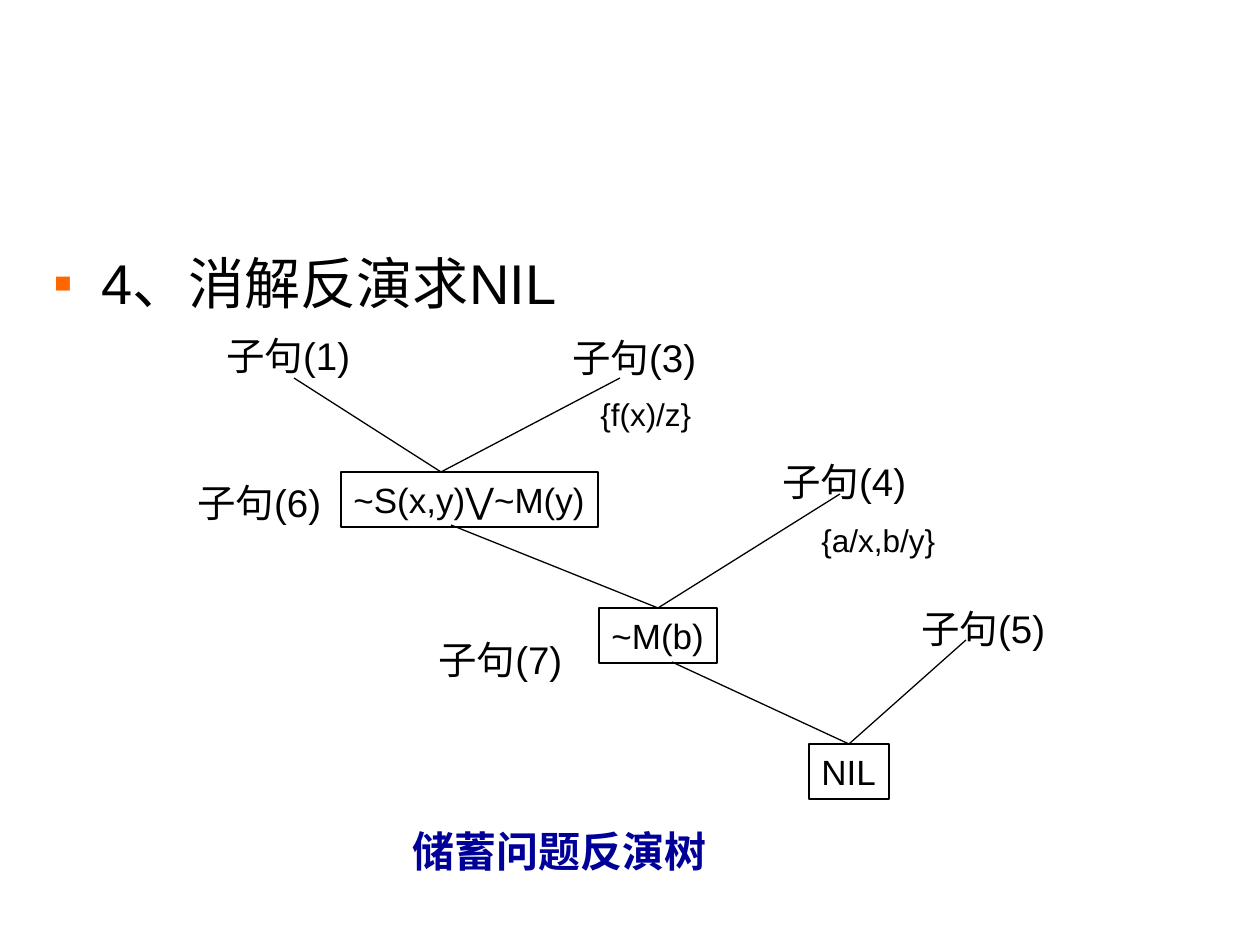
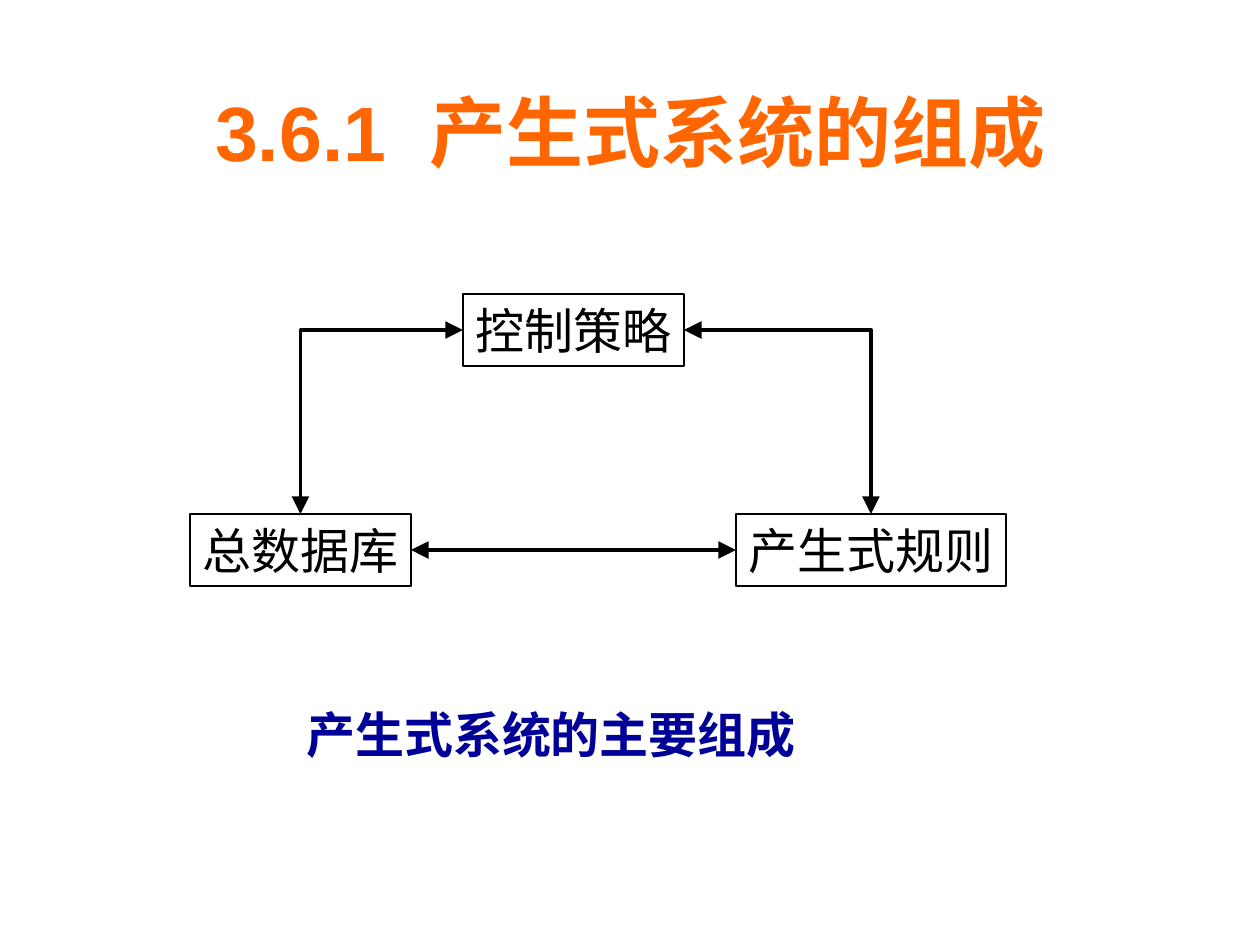
from dataclasses import dataclass

from pptx import Presentation
from pptx.dml.color import RGBColor
from pptx.enum.shapes import MSO_CONNECTOR as Link, MSO_SHAPE as Preset
from pptx.enum.text import MSO_ANCHOR as Anchor, PP_ALIGN as Align
from pptx.oxml.ns import qn
from pptx.oxml.xmlchemy import OxmlElement
from pptx.util import Emu, Pt

TOP, LEFT, RIGHT = 0, 1, 3


@dataclass(frozen=True)
class Theme:
    """Colours, font and type sizes shared by the slides."""
    ink: str = "000000"
    accent: str = "FF6600"
    caption_blue: str = "000099"
    font: str = "Arial"
    title: int = 44
    heading: int = 32
    component: int = 28
    caption: int = 24
    clause: int = 22
    formula: int = 20
    substitution: int = 18
    box_line: float = 1
    edge_line: float = 0.75
    arrow_line: float = 2


THEME = Theme()


def px(length):
    """Turn a length in px into EMU."""
    return Emu(round(length * 914400 / 126))


def child(parent, tag, **attributes):
    """Append an XML element with the given attributes."""
    element = OxmlElement(tag)
    for key, value in attributes.items():
        element.set(key, value)
    parent.append(element)
    return element


def style(paragraph, size, color=THEME.ink, bold=False, align=Align.LEFT):
    """Set the font and alignment of a paragraph."""
    paragraph.alignment = align
    font = paragraph.font
    font.name, font.size, font.bold = THEME.font, Pt(size), bold
    font.color.rgb = RGBColor.from_string(color)


def fit(holder, text, size, align=Align.LEFT, **look):
    """Write one line, with spare room to the right of the text."""
    frame = holder.text_frame
    frame.word_wrap = True
    frame.vertical_anchor = Anchor.TOP
    frame.margin_right = 0
    if align == Align.CENTER:
        frame.margin_left = 0
    frame.text = text
    style(frame.paragraphs[0], size, align=align, **look)


def add_label(slide, text, size, left, top, width, height, **look):
    """Add a one-line text box."""
    fit(slide.shapes.add_textbox(*map(px, (left, top, width, height))), text, size, **look)


def add_box(slide, text, size, left, top, width, height):
    """Add an outlined rectangle holding one line."""
    box = slide.shapes.add_shape(Preset.RECTANGLE, *map(px, (left, top, width, height)))
    box.shadow.inherit = False
    box.fill.background()
    box.line.color.rgb = RGBColor.from_string(THEME.ink)
    box.line.width = Pt(THEME.box_line)
    fit(box, text, size)
    return box


def add_link(slide, kind, start, end, width):
    """Add a plain connector between two points."""
    link = slide.shapes.add_connector(kind, *map(px, (*start, *end)))
    link.line.color.rgb = RGBColor.from_string(THEME.ink)
    link.line.width = Pt(width)
    child(link._element.spPr, "a:effectLst")
    return link


def add_arrow(slide, source, source_side, target, target_side, kind=Link.STRAIGHT):
    """Join two boxes with a double-headed arrow."""
    arrow = add_link(slide, kind, (0, 0), (0, 0), THEME.arrow_line)
    arrow.begin_connect(source, source_side)
    arrow.end_connect(target, target_side)
    properties = arrow._element.spPr
    if kind == Link.ELBOW:
        properties.find(qn("a:prstGeom")).set("prst", "bentConnector2")
    for tip in ("a:headEnd", "a:tailEnd"):
        child(properties.find(qn("a:ln")), tip, type="triangle", w="lg", len="lg")


def add_heading(slide, text):
    """Add the bulleted heading."""
    frame = slide.shapes.add_textbox(*map(px, (41, 242, 1177, 588))).text_frame
    frame.word_wrap = True
    frame.text = text
    heading = frame.paragraphs[0]
    properties = heading._p.get_or_add_pPr()
    properties.set("marL", str(px(48)))
    properties.set("indent", str(px(-48)))
    child(child(properties, "a:buClr"), "a:srgbClr", val=THEME.accent)
    child(properties, "a:buFont", typeface=THEME.font)
    child(properties, "a:buChar", char="▪")
    style(heading, THEME.heading)


def add_title(slide, number, name):
    """Add the centred title with a widened gap after its number."""
    frame = slide.shapes.add_textbox(*map(px, (42, 52, 1177, 158))).text_frame
    frame.word_wrap = True
    frame.vertical_anchor = Anchor.MIDDLE
    title = frame.paragraphs[0]
    style(title, THEME.title, THEME.accent, True, Align.CENTER)
    number_run, gap, name_run = (title.add_run() for _ in range(3))
    number_run.text, gap.text, name_run.text = number, " ", name
    gap._r.get_or_add_rPr().set("spc", "1220")


def build_refutation_tree(slide):
    """Draw the resolution tree of the savings problem."""
    add_heading(slide, "4、消解反演求NIL")
    clauses = ((1, 214, 326), (3, 560, 328), (4, 770, 452),
               (6, 185, 473), (7, 426, 630), (5, 909, 599))
    for number, left, top in clauses:
        add_label(slide, f"子句({number})", THEME.clause, left, top, 158, 59)

    resolvents = (("~S(x,y)⋁~M(y)", 341, 257), ("~M(b)", 599, 118), ("NIL", 809, 80))
    parents = (((294, 378), (620, 378)), ((451, 525), (840, 494)), ((672, 662), (966, 640)))
    meeting_points = (441, 662, 851)
    for level, (formula, left, width) in enumerate(resolvents):
        top = 472 + level * 136
        resolvent = add_box(slide, formula, THEME.formula, left, top, width, 55)
        for parent in parents[level]:
            edge = add_link(slide, Link.STRAIGHT, parent, (meeting_points[level], top),
                            THEME.edge_line)
            if level:
                edge.end_connect(resolvent, TOP)

    add_label(slide, "{f(x)/z}", THEME.substitution, 588, 389, 116, 50)
    add_label(slide, "{a/x,b/y}", THEME.substitution, 809, 515, 139, 50)
    add_label(slide, "储蓄问题反演树", THEME.caption, 400, 819, 319, 63,
              color=THEME.caption_blue, bold=True)


def build_production_system(slide):
    """Draw the three parts of a production system."""
    add_title(slide, "3.6.1", "产生式系统的组成")
    database = add_box(slide, "总数据库", THEME.component, 190, 514, 221, 72)
    rules = add_box(slide, "产生式规则", THEME.component, 736, 514, 270, 72)
    control = add_box(slide, "控制策略", THEME.component, 463, 294, 221, 72)
    add_arrow(slide, control, RIGHT, rules, TOP, Link.ELBOW)
    add_arrow(slide, control, LEFT, database, TOP, Link.ELBOW)
    add_arrow(slide, database, RIGHT, rules, LEFT)
    add_label(slide, "产生式系统的主要组成", THEME.component, 294, 698, 514, 72,
              color=THEME.caption_blue, bold=True, align=Align.CENTER)


def main():
    """Build and save the two slides."""
    deck = Presentation()
    deck.slide_width, deck.slide_height = px(1260), px(945)
    blank = deck.slide_layouts[6]
    for build in (build_refutation_tree, build_production_system):
        build(deck.slides.add_slide(blank))
    deck.save("out.pptx")


if __name__ == "__main__":
    main()
